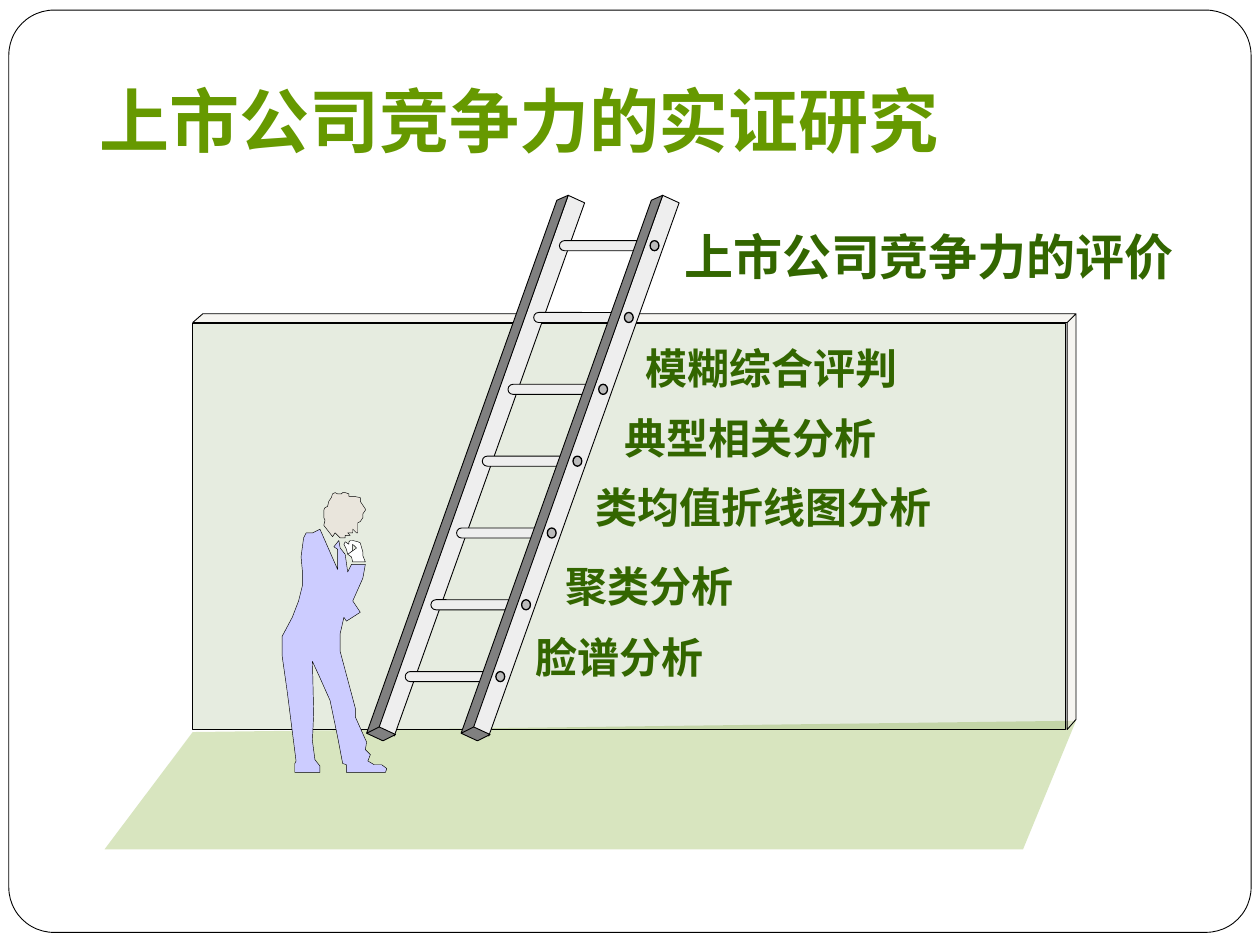
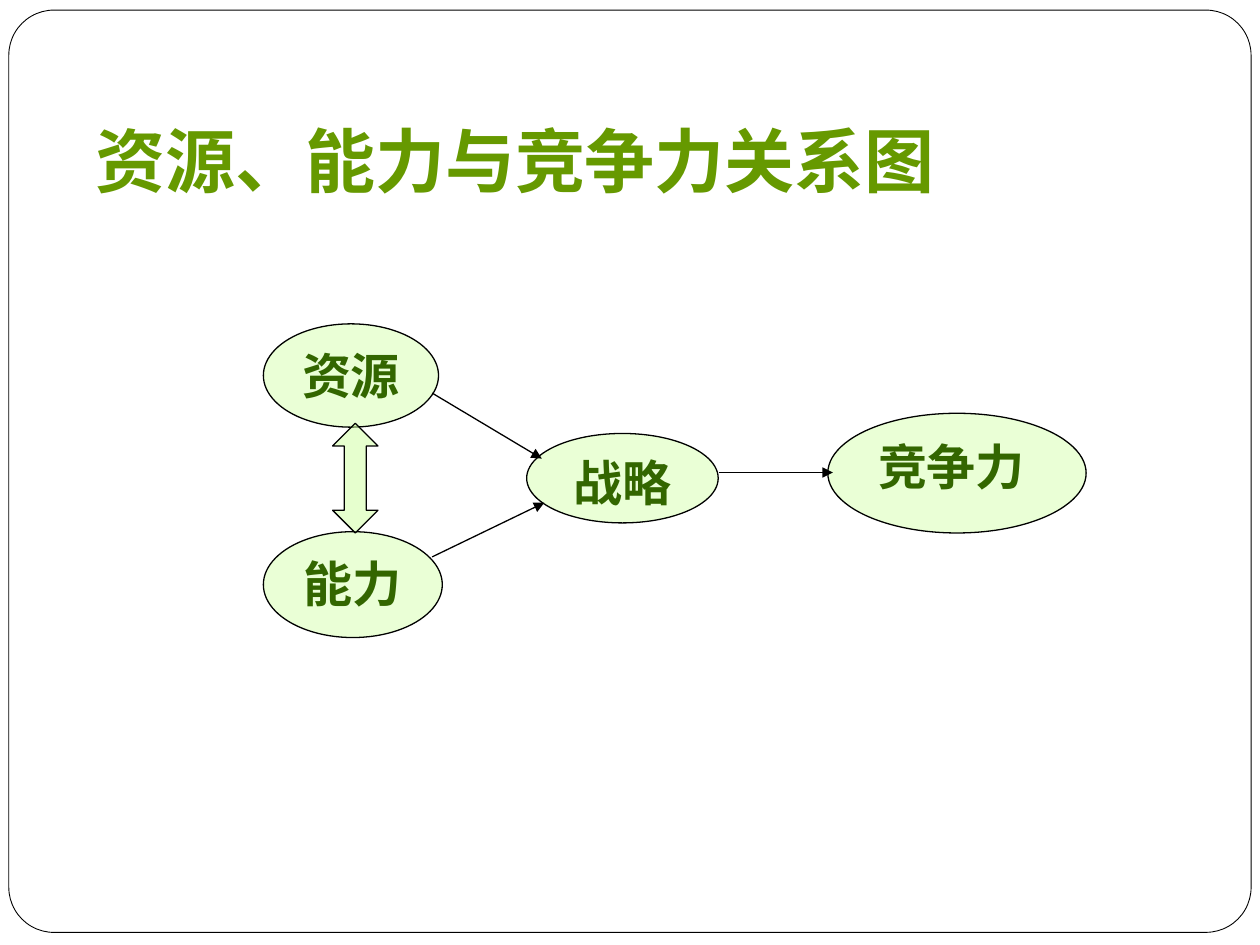
from dataclasses import dataclass
from typing import NamedTuple, Optional

from lxml import etree
from pptx import Presentation
from pptx.dml.color import RGBColor
from pptx.enum.shapes import MSO_CONNECTOR as CONN, MSO_SHAPE as SHAPE
from pptx.enum.text import MSO_ANCHOR as ANCHOR, MSO_AUTO_SIZE as FIT, PP_ALIGN as ALIGN
from pptx.oxml.ns import qn
from pptx.util import Inches, Pt

Points = list[tuple[float, float]]


@dataclass(frozen=True)
class Theme:
    title: str = "669900"
    text: str = "336600"
    node: str = "CCFF99"
    line: str = "000000"
    white: str = "FFFFFF"
    cream: str = "E9E5DC"
    suit: str = "CCCCFF"
    rail: str = "EEEEEE"
    shade: str = "808080"
    bolt: str = "BBBBBB"
    serif: str = "Times New Roman"
    sans: str = "Cabin"
    cjk: str = "Noto Sans CJK SC"
    title_size: float = 40
    head_size: float = 28
    label_size: float = 24
    hairline: float = 0.25
    thin: float = 0.5
    normal: float = 0.75


T = Theme()


class Box(NamedTuple):
    x: float
    y: float
    w: float
    h: float


class Paint(NamedTuple):
    fill: str
    opacity: int = 100
    width: Optional[float] = T.thin


class Type(NamedTuple):
    size: float
    color: str = T.text
    font: str = T.cjk
    spacing: Optional[float] = None


class Label(NamedTuple):
    text: str
    box: Box
    style: Type


class Node(NamedTuple):
    text: str
    box: Box
    align: ALIGN = ALIGN.CENTER


class Link(NamedTuple):
    x1: float
    y1: float
    x2: float
    y2: float


NOTE = Type(T.label_size, spacing=8.7)
LABELS = [
    Label("脸谱分析", Box(4.21, 5.25, 2.52, 0.21), NOTE),
    Label("聚类分析", Box(4.45, 4.69, 2.05, 0.21), NOTE),
    Label("类均值折线图分析", Box(4.69, 4.06, 2.84, 0.21), NOTE),
    Label("典型相关分析", Box(4.92, 3.51, 2.6, 0.21), NOTE),
    Label("模糊综合评判", Box(5.08, 2.96, 2.76, 0.21), NOTE),
    Label("上市公司竞争力的评价", Box(5.39, 2.1, 4.02, 0.21), Type(T.head_size, spacing=8.7)),
]
NODES = [
    Node("资源", Box(2.09, 2.57, 1.39, 0.82)),
    Node("能力", Box(2.09, 4.22, 1.42, 0.84)),
    Node("战略", Box(4.18, 3.44, 1.52, 0.71)),
    Node("竞争力", Box(6.57, 3.28, 2.05, 0.95), ALIGN.JUSTIFY),
]
LINKS = [
    Link(3.43, 3.12, 4.3, 3.64),
    Link(3.43, 4.42, 4.32, 3.99),
    Link(5.71, 3.75, 6.61, 3.75),
]

GROUND: Points = [(8.54, 5.72), (1.53, 5.81), (0.83, 6.74), (8.12, 6.74)]
WALL_EDGE: Points = [
    (1.53, 2.56), (1.61, 2.49), (8.54, 2.49), (8.47, 2.56), (8.54, 2.49),
    (8.54, 5.71), (8.47, 5.79), (8.47, 2.56),
]
RAIL_FRONT: Points = [(3, 5.77), (4.51, 1.55), (4.64, 1.61), (3.13, 5.84)]
RAIL_SIDE: Points = [
    (4.51, 1.55), (4.42, 1.59), (2.91, 5.82), (3.01, 5.77), (2.91, 5.82),
    (3.04, 5.88), (3.14, 5.83), (3.01, 5.77),
]
RAIL_GAP = 0.75
RUNG_COUNT = 7
RUNG_DX, RUNG_DY = -0.2, 0.57
HEAD: Points = [
    (2.64, 4.26), (2.57, 4.17), (2.58, 4.13), (2.57, 4.11), (2.57, 4.05),
    (2.58, 4.03), (2.6, 4.02), (2.61, 3.98), (2.63, 3.95), (2.64, 3.92),
    (2.66, 3.91), (2.68, 3.92), (2.71, 3.92), (2.72, 3.91), (2.74, 3.91),
    (2.77, 3.92), (2.77, 3.94), (2.81, 3.94), (2.86, 3.95), (2.86, 3.98),
    (2.88, 4.01), (2.9, 4.04), (2.9, 4.05), (2.88, 4.08), (2.88, 4.11),
    (2.86, 4.14), (2.84, 4.15), (2.84, 4.23), (2.83, 4.23), (2.8, 4.2),
    (2.8, 4.23), (2.76, 4.23), (2.78, 4.25), (2.74, 4.25), (2.74, 4.27),
    (2.7, 4.27), (2.66, 4.23),
]
HAND: Points = [
    (2.8, 4.46), (2.79, 4.42), (2.76, 4.4), (2.83, 4.35), (2.8, 4.32),
    (2.8, 4.37), (2.76, 4.4), (2.75, 4.36), (2.73, 4.32), (2.74, 4.3),
    (2.77, 4.32), (2.77, 4.3), (2.78, 4.29), (2.8, 4.29), (2.84, 4.3),
    (2.86, 4.31), (2.88, 4.38), (2.88, 4.41), (2.9, 4.46),
]
SUIT: Points = [
    (2.7, 5.17), (2.82, 5.62), (2.82, 5.69), (2.91, 5.89), (2.9, 5.95),
    (2.94, 5.99), (2.92, 6.04), (2.97, 6.07), (3.03, 6.07), (3.07, 6.1),
    (3.06, 6.13), (2.75, 6.13), (2.75, 6.07), (2.72, 6.06), (2.68, 5.85),
    (2.62, 5.56), (2.54, 5.38), (2.48, 5.25), (2.49, 5.66), (2.48, 5.88),
    (2.5, 6.03), (2.54, 6.08), (2.54, 6.13), (2.34, 6.13), (2.34, 6.06),
    (2.35, 6.04), (2.28, 5.49), (2.24, 5.21), (2.24, 5.05), (2.32, 4.9),
    (2.37, 4.77), (2.4, 4.65), (2.4, 4.53), (2.39, 4.42), (2.41, 4.27),
    (2.43, 4.23), (2.48, 4.23), (2.54, 4.2), (2.68, 4.52), (2.68, 4.36),
    (2.65, 4.34), (2.69, 4.29), (2.7, 4.35), (2.74, 4.4), (2.76, 4.54),
    (2.79, 4.48), (2.9, 4.48), (2.88, 4.59), (2.8, 4.77), (2.86, 4.86),
    (2.75, 4.93), (2.73, 4.9), (2.7, 5.03),
]


def paint(sp, look: Paint) -> None:
    sp.shadow.inherit = False
    sp.fill.solid()
    sp.fill.fore_color.rgb = RGBColor.from_string(look.fill)
    if look.opacity < 100:
        color = sp._element.spPr.find(qn("a:solidFill"))[0]
        etree.SubElement(color, qn("a:alpha")).set("val", str(look.opacity * 1000))
    if look.width is None:
        sp.line.fill.background()
    else:
        sp.line.color.rgb = RGBColor.from_string(T.line)
        sp.line.width = Pt(look.width)


def add_preset(s, kind: SHAPE, box: Box, look: Paint, *adjustments: float):
    sp = s.shapes.add_shape(kind, *map(Inches, box))
    for i, value in enumerate(adjustments):
        sp.adjustments[i] = value
    paint(sp, look)
    return sp


def add_outline(s, points: Points, look: Paint, dx: float = 0) -> None:
    path = [(Inches(x + dx), Inches(y)) for x, y in points]
    builder = s.shapes.build_freeform(*path[0])
    builder.add_line_segments(path[1:], close=True)
    paint(builder.convert_to_shape(), look)


def write(tf, text: str, style: Type, align: Optional[ALIGN] = None) -> None:
    tf.word_wrap = True
    tf.text = text
    p = tf.paragraphs[0]
    p.alignment = align
    if style.spacing:
        p.line_spacing = Pt(style.spacing)
    r = p.runs[0]
    r.font.size = Pt(style.size)
    r.font.bold = True
    r.font.name = style.font
    r.font.color.rgb = RGBColor.from_string(style.color)
    etree.SubElement(r.font._element, qn("a:ea")).set("typeface", T.cjk)


def set_margins(tf, left: float, top: float, right: float, bottom: float) -> None:
    tf.margin_left, tf.margin_top = Inches(left), Inches(top)
    tf.margin_right, tf.margin_bottom = Inches(right), Inches(bottom)


def add_label(s, label: Label) -> None:
    tf = s.shapes.add_textbox(*map(Inches, label.box)).text_frame
    set_margins(tf, 0.04, 0.04, 0.04, 0.04)
    tf.auto_size = FIT.SHAPE_TO_FIT_TEXT
    write(tf, label.text, label.style)


def add_node(s, node: Node) -> None:
    tf = add_preset(s, SHAPE.OVAL, node.box, Paint(T.node, 40, T.normal)).text_frame
    set_margins(tf, 0.1, 0.05, 0.1, 0.05)
    tf.vertical_anchor = ANCHOR.TOP
    write(tf, node.text, Type(T.head_size, font=T.serif), node.align)


def add_arrow(s, link: Link) -> None:
    c = s.shapes.add_connector(CONN.STRAIGHT, *map(Inches, link))
    c.line.color.rgb = RGBColor.from_string(T.line)
    c.line.width = Pt(T.normal)
    etree.SubElement(c.line._get_or_add_ln(), qn("a:tailEnd")).set("type", "triangle")
    etree.SubElement(c._element.spPr, qn("a:effectLst"))


def add_framed_slide(prs):
    s = prs.slides.add_slide(prs.slide_layouts[6])
    add_preset(s, SHAPE.ROUNDED_RECTANGLE, Box(0.07, 0.08, 9.86, 7.32), Paint(T.white), 0.049)
    return s


def add_rail(s, dx: float) -> None:
    add_outline(s, RAIL_FRONT, Paint(T.rail), dx)
    add_outline(s, RAIL_SIDE, Paint(T.shade), dx)


def add_ladder(s) -> None:
    steps = [(i * RUNG_DX * 1.02, 1.91 + i * RUNG_DY) for i in range(RUNG_COUNT)]
    add_rail(s, 0)
    for dx, y in steps:
        add_preset(s, SHAPE.ROUNDED_RECTANGLE, Box(4.44 + dx, y, 0.73, 0.08), Paint(T.rail), 0.5)
    add_rail(s, RAIL_GAP)
    for dx, y in steps:
        add_preset(s, SHAPE.OVAL, Box(5.16 + dx, y, 0.07, 0.08), Paint(T.bolt, width=0))


def build_ladder_slide(prs) -> None:
    s = add_framed_slide(prs)
    title = Type(T.title_size, T.title, T.serif, 12.2)
    add_label(s, Label("上市公司竞争力的实证研究", Box(0.75, 1.07, 7.48, 0.26), title))
    add_outline(s, GROUND, Paint(T.title, 25, None))
    add_outline(s, WALL_EDGE, Paint(T.cream, 38))
    add_preset(s, SHAPE.RECTANGLE, Box(1.53, 2.57, 6.93, 3.22), Paint(T.text, 12))
    for label in LABELS:
        add_label(s, label)
    add_ladder(s)
    for part, color in ((HEAD, T.cream), (HAND, T.white), (SUIT, T.suit)):
        add_outline(s, part, Paint(color, width=T.hairline))


def build_relation_slide(prs) -> None:
    s = add_framed_slide(prs)
    tf = s.shapes.add_textbox(*map(Inches, Box(0.66, 0.68, 9.34, 1.02))).text_frame
    set_margins(tf, 0.1, 0.05, 0.1, 0.1)
    tf.vertical_anchor = ANCHOR.BOTTOM
    write(tf, "资源、能力与竞争力关系图", Type(T.title_size, T.title, T.sans))
    for node in NODES:
        add_node(s, node)
    add_preset(s, SHAPE.UP_DOWN_ARROW, Box(2.64, 3.36, 0.36, 0.87),
               Paint(T.node, 48, T.normal), 0.5, 0.484)
    for link in LINKS:
        add_arrow(s, link)


def main() -> None:
    prs = Presentation()
    prs.slide_width, prs.slide_height = Inches(10), Inches(7.5)
    build_ladder_slide(prs)
    build_relation_slide(prs)
    prs.save("out.pptx")


if __name__ == "__main__":
    main()
